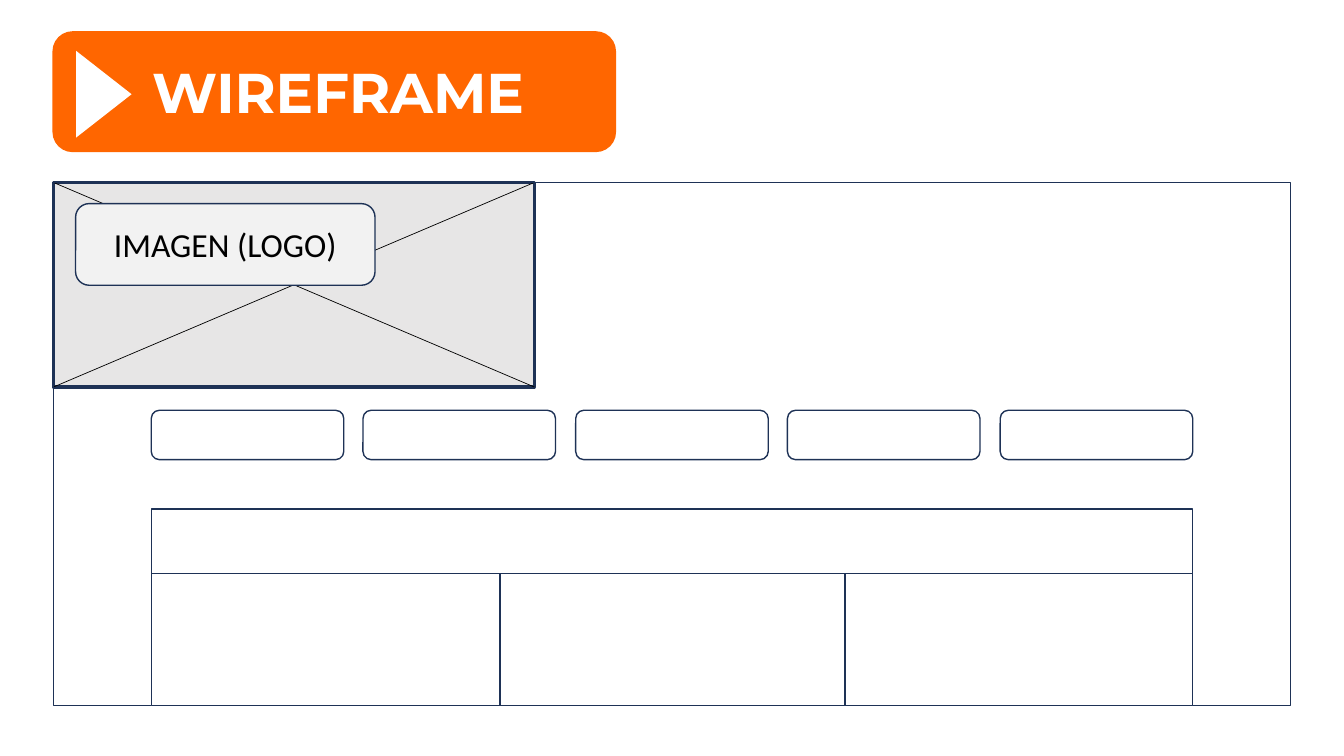
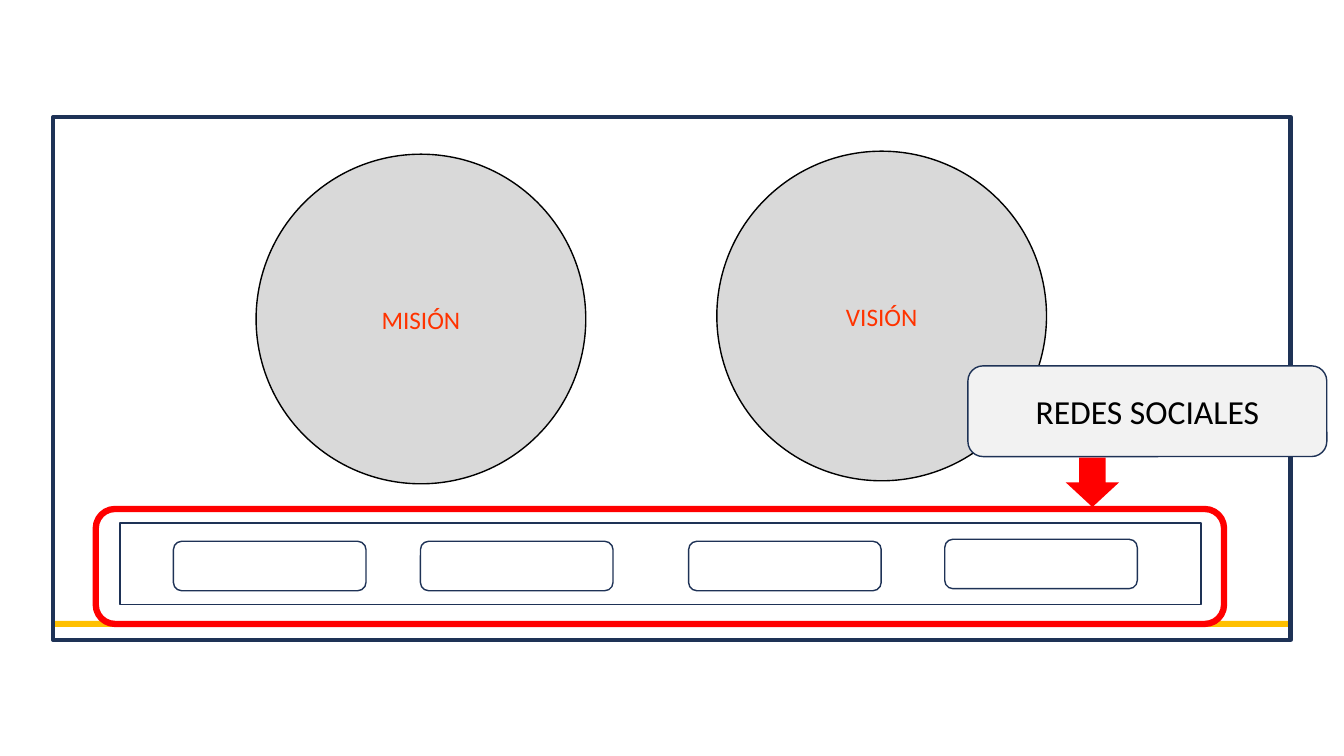
"""Build two wireframe slides for a web page."""
from lxml import etree
from pptx import Presentation
from pptx.dml.color import RGBColor
from pptx.enum.shapes import MSO_CONNECTOR as Connector, MSO_SHAPE as Shape
from pptx.enum.text import MSO_ANCHOR as Anchor, PP_ALIGN as Align
from pptx.oxml.ns import qn
from pptx.util import Pt

EMU_PER_PX = 9144
WHITE = RGBColor(0xFF, 0xFF, 0xFF)
BLACK = RGBColor(0x00, 0x00, 0x00)
NAVY = RGBColor(0x1E, 0x32, 0x56)
ORANGE = RGBColor(0xFF, 0x66, 0x00)
RED = RGBColor(0xFF, 0x00, 0x00)
GOLD = RGBColor(0xFF, 0xC0, 0x00)
VERMILION = RGBColor(0xFF, 0x33, 0x00)
PALE_GRAY = RGBColor(0xF2, 0xF2, 0xF2)
IMAGE_GRAY = RGBColor(0xE7, 0xE6, 0xE6)
CIRCLE_GRAY = RGBColor(0xD9, 0xD9, 0xD9)
BODY_FONT = "Calibri"
TITLE_FONT = "Montserrat"


def px(length):
    return int(length * EMU_PER_PX)


class Wireframe:
    def __init__(self):
        self.presentation = Presentation()
        self.presentation.slide_width = px(1333)
        self.presentation.slide_height = px(750)
        self.slide = None

    def new_slide(self):
        layout = self.presentation.slide_layouts[6]
        self.slide = self.presentation.slides.add_slide(layout)

    def shape(self, kind, box, fill=WHITE, line=NAVY, weight=1):
        shape = self.slide.shapes.add_shape(kind, *map(px, box))
        shape.shadow.inherit = False
        if fill is None:
            shape.fill.background()
        else:
            shape.fill.solid()
            shape.fill.fore_color.rgb = fill
        if line is None:
            shape.line.fill.background()
        else:
            shape.line.color.rgb = line
            shape.line.width = Pt(weight)
        return shape

    def add_text(self, shape, text, size, color, font=BODY_FONT, bold=False, align=Align.CENTER):
        frame = shape.text_frame
        frame.word_wrap = True
        frame.vertical_anchor = Anchor.MIDDLE
        paragraph = frame.paragraphs[0]
        paragraph.alignment = align
        run = paragraph.add_run()
        run.text = text
        run.font.name = font
        run.font.size = Pt(size)
        run.font.bold = bold
        run.font.color.rgb = color
        return paragraph

    def line(self, start, end):
        points = map(px, (*start, *end))
        connector = self.slide.shapes.add_connector(Connector.STRAIGHT, *points)
        connector.line.color.rgb = BLACK
        connector.line.width = Pt(0.5)
        etree.SubElement(connector._element.spPr, qn("a:effectLst"))

    def title(self, text):
        self.shape(Shape.ROUNDED_RECTANGLE, (52, 31, 559, 120), ORANGE, None)
        box = self.slide.shapes.add_textbox(*map(px, (141, 60, 431, 69)))
        paragraph = self.add_text(box, text, 40, WHITE, TITLE_FONT, True, Align.LEFT)
        paragraph.line_spacing = 0.9
        triangle = self.shape(Shape.ISOSCELES_TRIANGLE, (60, 66, 86, 55), WHITE, None)
        triangle.rotation = 90

    def page_frame(self, top, weight):
        self.shape(Shape.RECTANGLE, (53, top, 1227, 519), None, NAVY, weight)

    def image_area(self, left, top, width, height):
        right, bottom = left + width, top + height
        self.shape(Shape.RECTANGLE, (left, top, width, height), IMAGE_GRAY, NAVY, 2.25)
        self.line((right, top), (left, bottom))
        self.line((left, top), (right, bottom))

    def button(self, left, top):
        self.shape(Shape.ROUNDED_RECTANGLE, (left, top, 191, 49))

    def label(self, text, box):
        shape = self.shape(Shape.ROUNDED_RECTANGLE, box, PALE_GRAY)
        self.add_text(shape, text, 24, BLACK)

    def circle(self, text, left, top):
        shape = self.shape(Shape.OVAL, (left, top, 327, 327), CIRCLE_GRAY, BLACK)
        self.add_text(shape, text, 18, VERMILION)

    def header_slide(self):
        self.new_slide()
        self.image_area(53, 181, 477, 203)
        self.page_frame(181, 1)
        self.shape(Shape.RECTANGLE, (150, 505, 1033, 64))
        for index in range(5):
            self.button(150 + 842 * index // 4, 407)
        self.label("IMAGEN (LOGO)", (75, 202, 297, 81))
        self.title("WIREFRAME")
        edges = (150, 496, 838, 1183)
        for left, right in zip(edges, edges[1:]):
            self.shape(Shape.RECTANGLE, (left, 569, right - left, 131))

    def footer_slide(self):
        self.new_slide()
        self.circle("VISIÓN", 711, 150)
        self.shape(Shape.RECTANGLE, (53, 616, 1227, 6), GOLD, None)
        self.page_frame(116, 3)
        self.label("REDES SOCIALES", (960, 363, 356, 90))
        self.shape(Shape.ROUNDED_RECTANGLE, (95, 505, 1119, 114), WHITE, RED, 4.5)
        self.shape(Shape.DOWN_ARROW, (1057, 454, 53, 49), RED, None)
        self.shape(Shape.RECTANGLE, (119, 519, 1072, 81))
        for left, top in ((172, 537), (417, 537), (683, 537), (937, 535)):
            self.button(left, top)
        self.circle("MISIÓN", 254, 153)


def main():
    wireframe = Wireframe()
    wireframe.header_slide()
    wireframe.footer_slide()
    wireframe.presentation.save("out.pptx")


if __name__ == "__main__":
    main()
